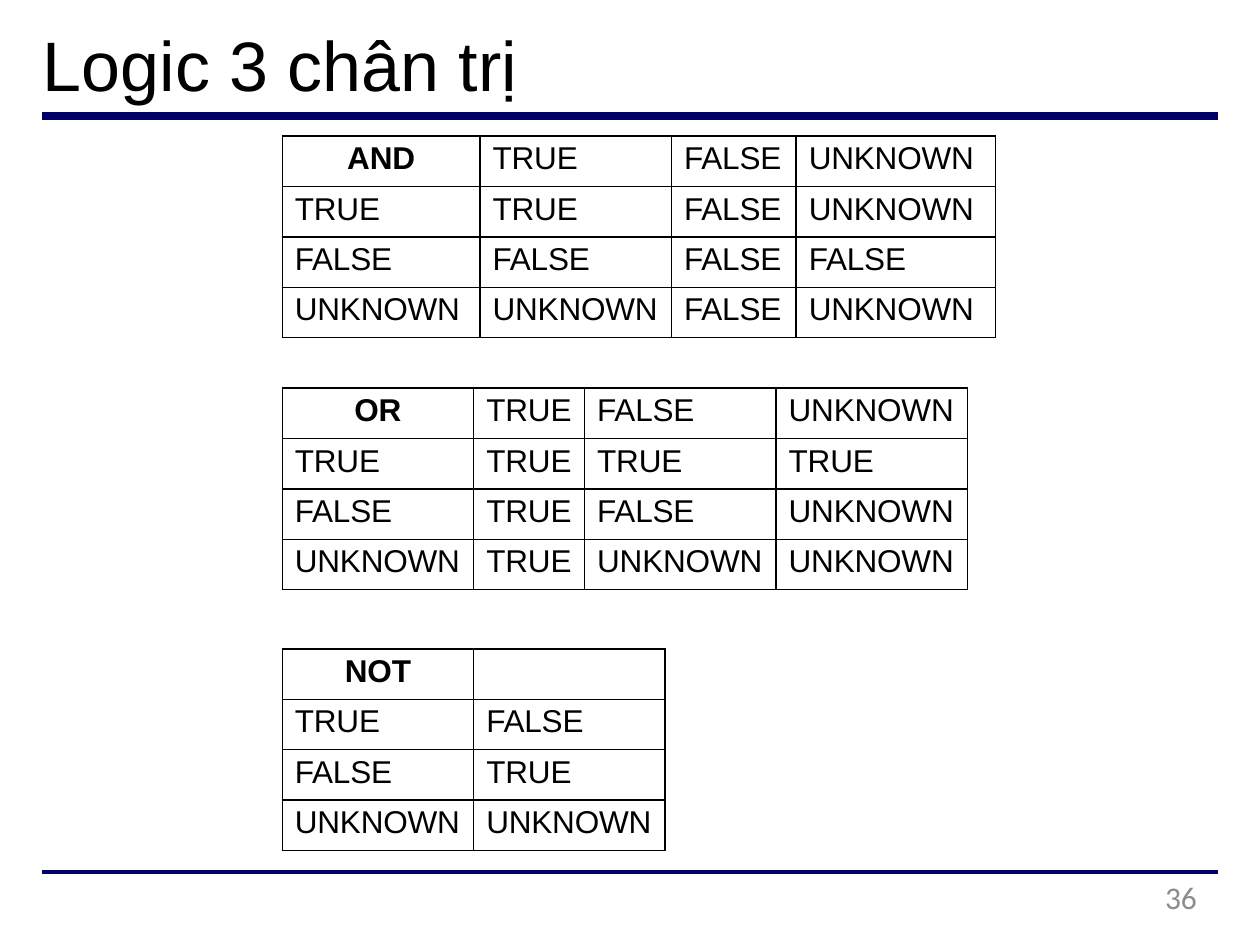
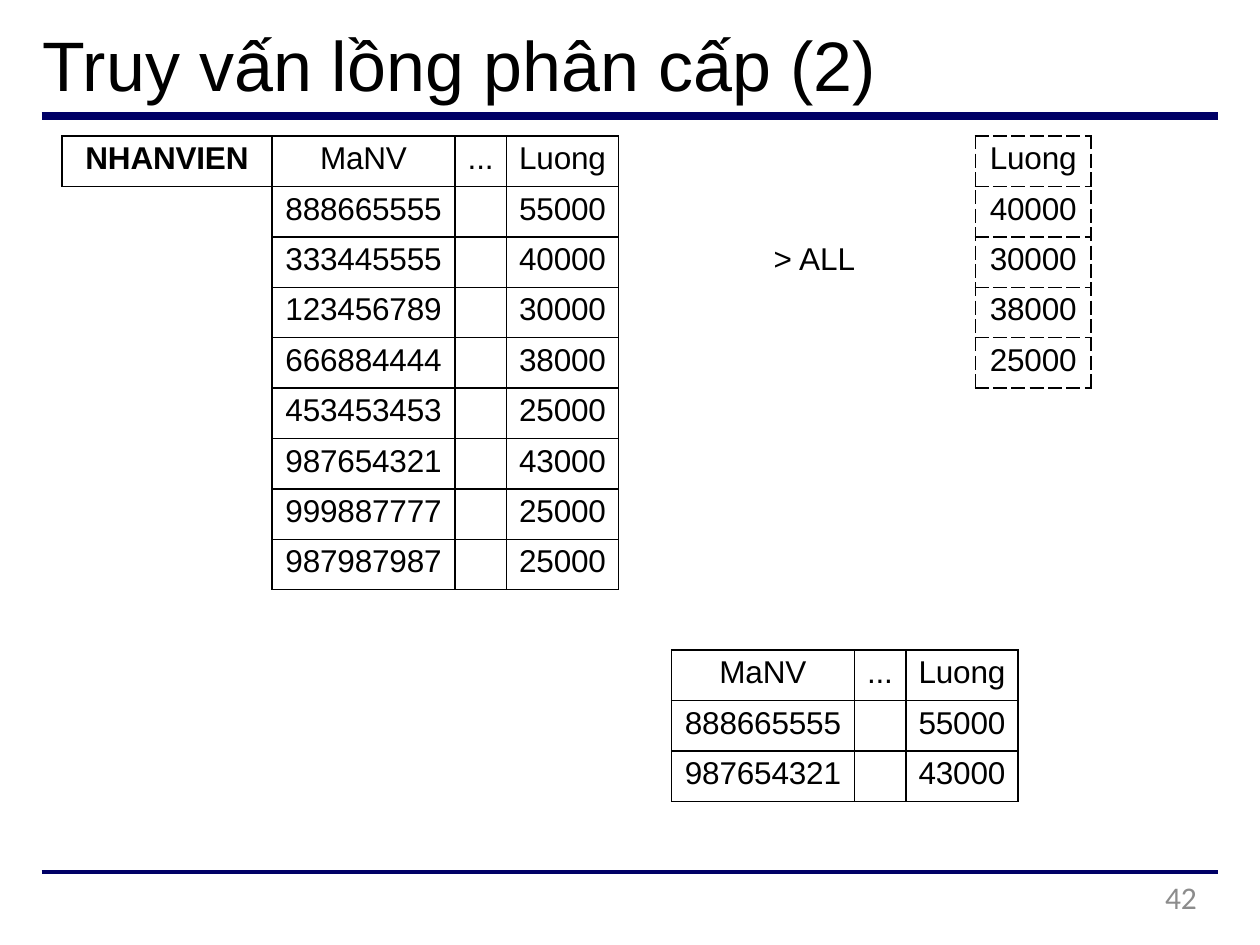
from dataclasses import dataclass

from lxml.etree import SubElement
from pptx import Presentation
from pptx.dml.color import RGBColor as Rgb
from pptx.enum.shapes import MSO_CONNECTOR as Conn
from pptx.enum.text import MSO_ANCHOR as Anchor, PP_ALIGN as Align
from pptx.oxml.ns import qn
from pptx.util import Inches, Pt

COLORS = {"text": "000000", "rule": "000066", "page": "8C8C8C"}
ROW = 0.4
PAD = 0.1
SIDES = "LRTB"


@dataclass
class Label:
    text: str
    left: float
    top: float
    width: float
    height: float
    size: int = 18
    font: str = "Arial"
    color: str = "text"
    align: Align = Align.LEFT
    inset: float = 0.01


@dataclass
class Rule:
    y: float
    weight: float


@dataclass
class Grid:
    left: float
    top: float
    cols: list[float]
    rows: list[list[str]]
    center: bool = True
    bold: bool = True
    dash: str = "solid"
    stub: bool = False  # first column is open below its head


RULES = [Rule(0.92, 4.5), Rule(6.92, 2.25)]


def style(par, size: int, font: str, color: str, bold: bool = False) -> None:
    for run in par.runs:
        run.font.size = Pt(size)
        run.font.name = font
        run.font.bold = bold
        run.font.color.rgb = Rgb.from_string(COLORS[color])


def add_label(slide, label: Label) -> None:
    box = slide.shapes.add_textbox(Inches(label.left), Inches(label.top),
                                   Inches(label.width), Inches(label.height))
    frame = box.text_frame
    frame.word_wrap = True
    frame.margin_left = frame.margin_right = frame.margin_bottom = 0
    frame.margin_top = Inches(label.inset)
    frame.text = label.text
    par = frame.paragraphs[0]
    par.alignment = label.align
    style(par, label.size, label.font, label.color)


def add_rule(slide, rule: Rule) -> None:
    y = Inches(rule.y)
    line = slide.shapes.add_connector(Conn.STRAIGHT, Inches(0.33), y,
                                      Inches(9.67), y)
    line.line.color.rgb = Rgb.from_string(COLORS["rule"])
    line.line.width = Pt(rule.weight)
    SubElement(line._element.spPr, qn("a:effectLst"))


def add_edges(cell, sides: str, dash: str) -> None:
    """Draw the given sides of a cell and clear the others."""
    props = cell._tc.get_or_add_tcPr()
    for side in SIDES:
        edge = SubElement(props, qn(f"a:ln{side}"), w=str(Pt(1)))
        if side in sides:
            fill = SubElement(edge, qn("a:solidFill"))
            SubElement(fill, qn("a:srgbClr"), val=COLORS["text"])
            SubElement(edge, qn("a:prstDash"), val=dash)
        else:
            SubElement(edge, qn("a:noFill"))


def add_grid(slide, grid: Grid) -> None:
    count = len(grid.rows)
    frame = slide.shapes.add_table(
        count, len(grid.cols), Inches(grid.left), Inches(grid.top),
        Inches(sum(grid.cols)), Inches(ROW * count))
    table = frame.table
    table.first_row = table.horz_banding = False
    for col, width in zip(table.columns, grid.cols):
        col.width = Inches(width)
    for r, row in enumerate(grid.rows):
        table.rows[r].height = Inches(ROW)
        for c, text in enumerate(row):
            cell = table.cell(r, c)
            head = r == c == 0
            middle = grid.center or head
            sides = SIDES
            if grid.stub and c == 0 and r > 0:
                sides = "RT" if r == 1 else "R"
            add_edges(cell, sides, grid.dash)
            cell.fill.background()
            cell.vertical_anchor = Anchor.TOP
            cell.margin_left = 0 if middle else Inches(PAD)
            cell.margin_right = cell.margin_bottom = 0
            cell.margin_top = Inches(0.04)
            if text:
                cell.text_frame.text = text
                par = cell.text_frame.paragraphs[0]
                par.alignment = Align.CENTER if middle else Align.LEFT
                style(par, 18, "Arial", "text", head and grid.bold)
                par.runs[0].font._element.set("spc", "-10")
    if grid.stub:
        table.cell(1, 0).merge(table.cell(count - 1, 0))


def add_page(deck, title: str, number: int, grids: list[Grid]):
    slide = deck.slides.add_slide(deck.slide_layouts[6])
    for rule in RULES:
        add_rule(slide, rule)
    add_label(slide, Label(title, 0.34, 0.11, 7.28, 0.69, size=40, inset=0.06))
    for grid in grids:
        add_grid(slide, grid)
    add_label(slide, Label(str(number), 7.2, 6.97, 2.3, 0.38, font="Calibri",
                           color="page", align=Align.RIGHT, inset=0))
    return slide


def truth(name: str, top: float, cols: list[float], heads: list[str],
          body: list[list[str]]) -> Grid:
    """Build a truth table with one row for each logic value."""
    rows = [[name, *heads]]
    rows += [[value, *line] for value, line in zip(LOGIC, body)]
    return Grid(2.24, top, cols, rows, center=False)


T, F, U = LOGIC = ["TRUE", "FALSE", "UNKNOWN"]
TRUTHS = [
    truth("AND", 1.08, [1.57, 1.52, 0.99, 1.58], LOGIC,
          [[T, F, U], [F, F, F], [U, F, U]]),
    truth("OR", 3.08, [1.52, 0.88, 1.52, 1.52], LOGIC,
          [[T, T, T], [T, F, U], [T, U, U]]),
    truth("NOT", 5.15, [1.52, 1.52], [""], [[F], [T], [U]]),
]

HEADS = ["MaNV", "...", "Luong"]
COLS = [1.45, 0.41, 0.89]
STAFF = [
    ["888665555", "", "55000"],
    ["333445555", "", "40000"],
    ["123456789", "", "30000"],
    ["666884444", "", "38000"],
    ["453453453", "", "25000"],
    ["987654321", "", "43000"],
    ["999887777", "", "25000"],
    ["987987987", "", "25000"],
]
PAY = ["Luong", "40000", "30000", "38000", "25000"]
QUERY = [
    Grid(7.74, 1.08, [0.92], [[pay] for pay in PAY], bold=False,
         dash="lgDash"),
    Grid(0.49, 1.08, [1.67, *COLS],
         [["NHANVIEN", *HEADS]] + [["", *row] for row in STAFF], stub=True),
    Grid(5.33, 5.16, COLS, [HEADS, STAFF[0], STAFF[5]], bold=False),
]


def main() -> None:
    deck = Presentation()
    deck.slide_width, deck.slide_height = Inches(10), Inches(7.5)
    add_page(deck, "Logic 3 chân trị", 36, TRUTHS)
    slide = add_page(deck, "Truy vấn lồng phân cấp (2)", 42, QUERY)
    add_label(slide, Label("> ALL", 6.14, 1.88, 0.67, 0.33, inset=0.02))
    deck.save("out.pptx")


if __name__ == "__main__":
    main()
